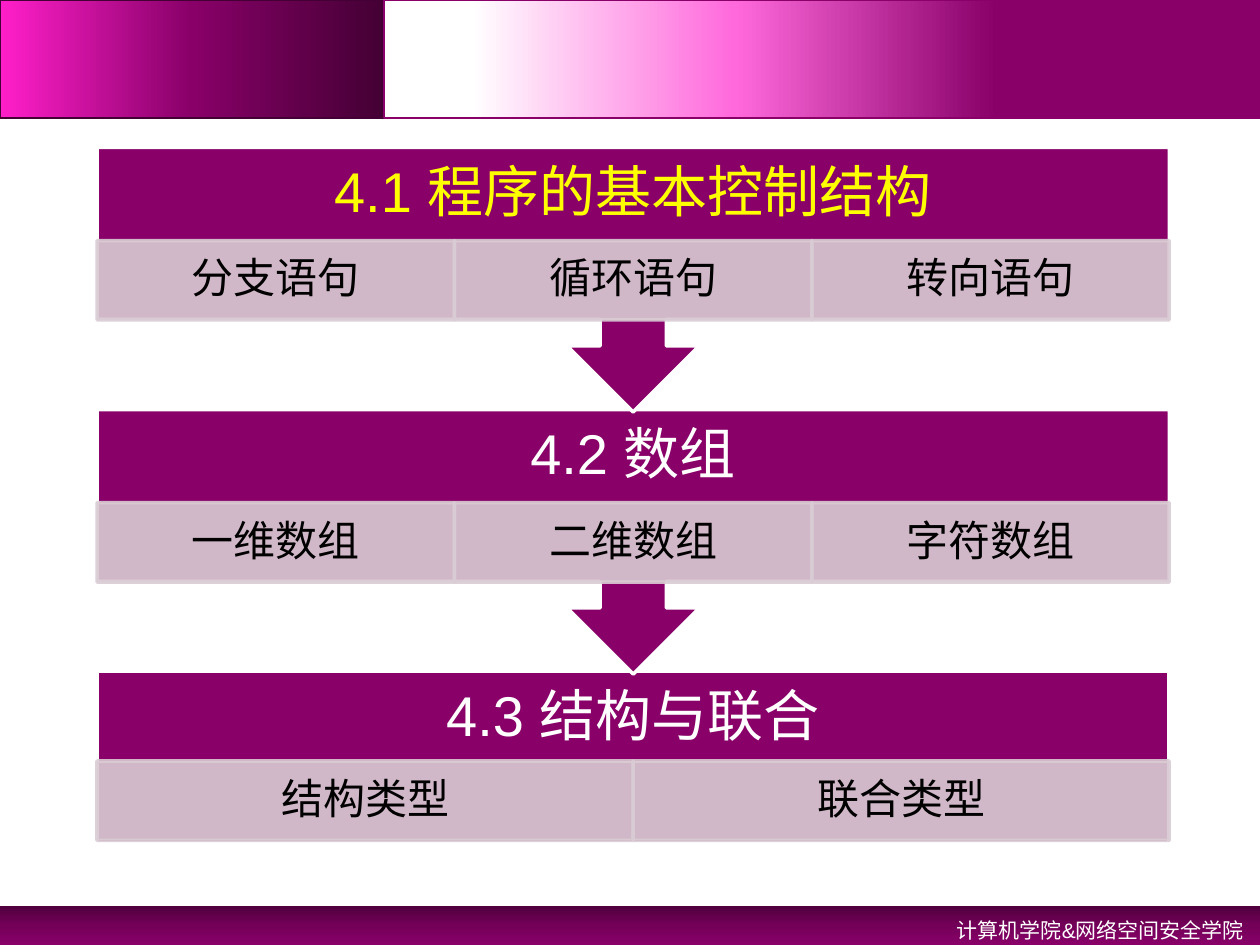
from lxml import etree
from pptx import Presentation, util as u
from pptx.dml.color import RGBColor
from pptx.enum import shapes, text
from pptx.oxml.ns import qn

In = u.Inches
KIND = shapes.MSO_SHAPE
PLUM, PALE, WHITE = "880068", "DACCD4", "FFFFFF"
TITLE = {"size": u.Pt(32), "name": "Arial"}
CELL = {"size": u.Pt(24), "name": "Arial"}
FOOT = {"size": u.Pt(12), "name": "Arial"}
MID = text.PP_ALIGN.CENTER


def rgb(code):
    return RGBColor.from_string(code)


def see(fill, part):
    """Make a solid fill partly see-through."""
    fill.fore_color.rgb = rgb(PALE)
    clr = part.find(".//" + qn("a:srgbClr"))
    etree.SubElement(clr, qn("a:alpha"), val="90000")


def shade(shape, stops, turn):
    """Fill with a linear gradient of (percent, colour) stops."""
    shape.fill.gradient()
    shape.fill.gradient_angle = turn
    group = shape._element.spPr.find(".//" + qn("a:gsLst"))
    for old in list(group):
        group.remove(old)
    for spot, code in stops:
        stop = etree.SubElement(group, qn("a:gs"), pos=str(spot * 1000))
        etree.SubElement(stop, qn("a:srgbClr"), val=code)


def block(slide, box, kind=KIND.RECTANGLE, line=None, width=2):
    shape = slide.shapes.add_shape(kind, *map(In, box))
    shape.shadow.inherit = False
    if line:
        shape.line.color.rgb = rgb(line)
        shape.line.width = u.Pt(width)
    else:
        shape.line.fill.background()
    return shape


def write(shape, words, style, color, pad, align=MID, gap=0.9,
          anchor=text.MSO_ANCHOR.MIDDLE):
    frame = shape.text_frame
    frame.word_wrap = True
    frame.vertical_anchor = anchor
    frame.margin_left = frame.margin_right = In(pad[0])
    frame.margin_top = frame.margin_bottom = In(pad[1])
    para = frame.paragraphs[0]
    para.alignment, para.line_spacing = align, gap
    run = para.add_run()
    run.text = words
    for key, value in style.items():
        setattr(run.font, key, value)
    run.font.color.rgb = rgb(color)


def header(slide, box, split=3.05):
    left, top, wide, high = box
    dark = block(slide, (left, top, split, high), line="440034", width=1)
    shade(dark, [(0, "440034"), (50, PLUM), (100, "FF1FCA")], 180)
    light = block(slide, (left + split, top, wide - split, high),
                  line=PLUM, width=1)
    shade(light, [(30, PLUM), (60, "FF69DC"), (90, WHITE)], 180)


def footer(slide, box):
    left, top, wide, high = box
    band = block(slide, box)
    shade(band, [(0, "51003E"), (50, "730058"), (100, PLUM)], 270)
    label = slide.shapes.add_textbox(
        *map(In, (left + wide - 3.58, top, 3.55, 0.32)))
    write(label, "计算机学院&网络空间安全学院", FOOT, WHITE, (0.1, 0.05),
          text.PP_ALIGN.RIGHT, 1.2, text.MSO_ANCHOR.TOP)


def section(slide, box, title, color, parts, drop, last):
    """A titled block with a row of topics; all but the last point down."""
    left, top, wide, high = box
    kind = KIND.RECTANGLE if last else KIND.UP_ARROW_CALLOUT
    body = block(slide, box, kind, WHITE)
    body.fill.solid()
    body.fill.fore_color.rgb = rgb(PLUM)
    body.rotation = 0 if last else 180
    label = slide.shapes.add_textbox(*map(In, (left, top, wide, 0.74)))
    write(label, title, TITLE, color, (0.25, 0.25))
    # Topic cells
    step = wide / len(parts)
    for i, words in enumerate(parts):
        cell = block(slide, (left + i * step, top + drop, step, 0.63),
                     line=PALE)
        cell.fill.solid()
        props = cell._element.spPr
        see(cell.fill, props.find(qn("a:solidFill")))
        see(cell.line.fill, props.find(qn("a:ln")))
        write(cell, words, CELL, "000000", (0.19, 0.03))


def outline(slide, box, pitch=2.08):
    left, top, wide, high = box
    items = [
        ("4.1 程序的基本控制结构", "FFFF00", ["分支语句", "循环语句", "转向语句"]),
        ("4.2 数组", WHITE, ["一维数组", "二维数组", "字符数组"]),
        ("4.3 结构与联合", WHITE, ["结构类型", "联合类型"]),
    ]
    # Bottom first, so that each arrow tip lies over the next block
    for i, item in reversed(list(enumerate(items))):
        last = i == len(items) - 1
        tall = high - i * pitch if last else 2.1
        section(slide, (left, top + i * pitch, wide, tall), *item,
                0.71 if last else 0.74, last)


def main():
    deck = Presentation()
    deck.slide_width, deck.slide_height = In(10), In(7.5)
    slide = deck.slides.add_slide(deck.slide_layouts[6])
    footer(slide, (0, 7.19, 10, 0.31))
    header(slide, (0, 0, 10, 0.94))
    outline(slide, (0.77, 1.17, 8.51, 5.52))
    deck.save("out.pptx")


if __name__ == "__main__":
    main()
